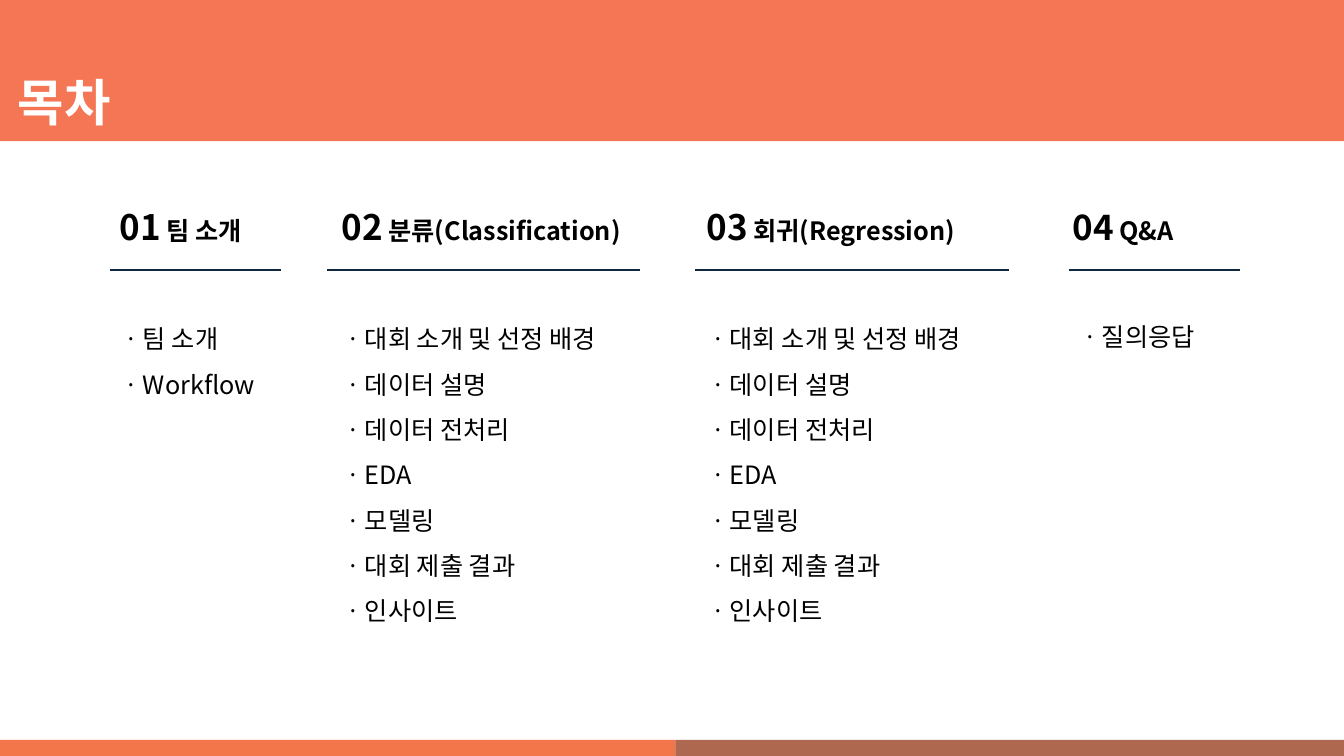
from dataclasses import dataclass

from lxml.etree import SubElement
from pptx import Presentation
from pptx.dml.color import RGBColor
from pptx.enum.shapes import MSO_CONNECTOR, MSO_SHAPE
from pptx.oxml.ns import qn
from pptx.slide import Slide
from pptx.text.text import TextFrame, _Paragraph as Paragraph
from pptx.util import Emu, Pt

PX = 9144  # 100 px to the inch
SLIDE_WIDTH, SLIDE_HEIGHT = 1333, 750
FONT = "Noto Sans CJK KR"
COLORS = {
    "banner": "F47655",
    "footer": "F27649",
    "footer_dark": "96391A",
    "rule": "0E2841",
    "title": "FFFFFF",
    "text": "000000",
}
HEADING_TOP, HEADING_HEIGHT = 194, 62
RULE_TOP = 268
FOOTER_TOP, FOOTER_SPLIT = 734, 670
CONTEST_TOPICS = (
    "대회 소개 및 선정 배경", "데이터 설명", "데이터 전처리", "EDA",
    "모델링", "대회 제출 결과", "인사이트",
)


@dataclass(frozen=True)
class Box:
    left: int
    top: int
    width: int
    height: int

    def emu(self) -> tuple[Emu, ...]:
        return tuple(Emu(px * PX) for px in (self.left, self.top, self.width, self.height))


@dataclass(frozen=True)
class Section:
    heading: str
    topics: tuple[str, ...]
    heading_left: int
    width: int
    rule_left: int
    rule_width: int
    topics_box: Box


SECTIONS = (
    Section("팀 소개", ("팀 소개", "Workflow"), 109, 170, 109, 170, Box(109, 296, 170, 96)),
    Section("분류(Classification)", CONTEST_TOPICS, 329, 312, 324, 311, Box(329, 296, 312, 323)),
    Section("회귀(Regression)", CONTEST_TOPICS, 691, 312, 689, 312, Box(691, 296, 312, 323)),
    Section("Q&A", ("질의응답",), 1054, 170, 1060, 170, Box(1060, 294, 170, 50)),
)


def color(name: str) -> RGBColor:
    return RGBColor.from_string(COLORS[name])


def add_bar(slide: Slide, box: Box, fill: str, opacity: int = 100) -> None:
    shape = slide.shapes.add_shape(MSO_SHAPE.RECTANGLE, *box.emu())
    shape.shadow.inherit = False
    shape.fill.solid()
    shape.fill.fore_color.rgb = color(fill)
    shape.line.fill.background()
    if opacity < 100:
        fill_color = shape.fill._xPr.find(qn("a:solidFill"))[0]
        SubElement(fill_color, qn("a:alpha"), val=str(opacity * 1000))


def add_rule(slide: Slide, left: int, width: int) -> None:
    ends = (left, RULE_TOP, left + width, RULE_TOP)
    line = slide.shapes.add_connector(MSO_CONNECTOR.STRAIGHT, *(Emu(px * PX) for px in ends))
    line.line.color.rgb = color("rule")
    line.line.width = Pt(1.5)
    SubElement(line._element.spPr, qn("a:effectLst"))


def add_text_frame(slide: Slide, box: Box, vertical_margin: int = 10) -> TextFrame:
    frame = slide.shapes.add_textbox(*box.emu()).text_frame
    formats = {
        "word_wrap": True,
        "margin_left": Emu(10 * PX),
        "margin_right": Emu(10 * PX),
        "margin_top": Emu(vertical_margin * PX),
        "margin_bottom": Emu(vertical_margin * PX),
    }
    for name, value in formats.items():
        setattr(frame, name, value)
    return frame


def add_run(paragraph: Paragraph, text: str, size: int, bold: bool = False,
            text_color: str = "text") -> None:
    run = paragraph.add_run()
    run.text = text
    for name, value in {"name": FONT, "size": Pt(size), "bold": bold}.items():
        setattr(run.font, name, value)
    run.font.color.rgb = color(text_color)
    SubElement(run.font._element, qn("a:ea"), typeface=FONT)


def add_section(slide: Slide, number: int, section: Section) -> None:
    heading_box = Box(section.heading_left, HEADING_TOP, section.width, HEADING_HEIGHT)
    heading = add_text_frame(slide, heading_box).paragraphs[0]
    add_run(heading, f"{number:02}", 25, bold=True)
    add_run(heading, f" {section.heading}", 18, bold=True)
    add_rule(slide, section.rule_left, section.rule_width)

    frame = add_text_frame(slide, section.topics_box)
    for index, topic in enumerate(section.topics):
        paragraph = frame.add_paragraph() if index else frame.paragraphs[0]
        paragraph.line_spacing = 1.5
        add_run(paragraph, f"ㆍ{topic}", 18)


def main() -> None:
    presentation = Presentation()
    presentation.slide_width = Emu(SLIDE_WIDTH * PX)
    presentation.slide_height = Emu(SLIDE_HEIGHT * PX)
    slide = presentation.slides.add_slide(presentation.slide_layouts[6])

    add_bar(slide, Box(0, 0, SLIDE_WIDTH, 140), "banner")
    title = add_text_frame(slide, Box(8, 66, SLIDE_WIDTH - 8, 71), vertical_margin=5)
    add_run(title.paragraphs[0], "목차", 36, bold=True, text_color="title")

    for number, section in enumerate(SECTIONS, start=1):
        add_section(slide, number, section)

    footer_height = SLIDE_HEIGHT - FOOTER_TOP
    add_bar(slide, Box(0, FOOTER_TOP, FOOTER_SPLIT, footer_height), "footer")
    add_bar(slide, Box(FOOTER_SPLIT, FOOTER_TOP, SLIDE_WIDTH - FOOTER_SPLIT, footer_height),
            "footer_dark", opacity=76)

    presentation.save("out.pptx")


if __name__ == "__main__":
    main()
